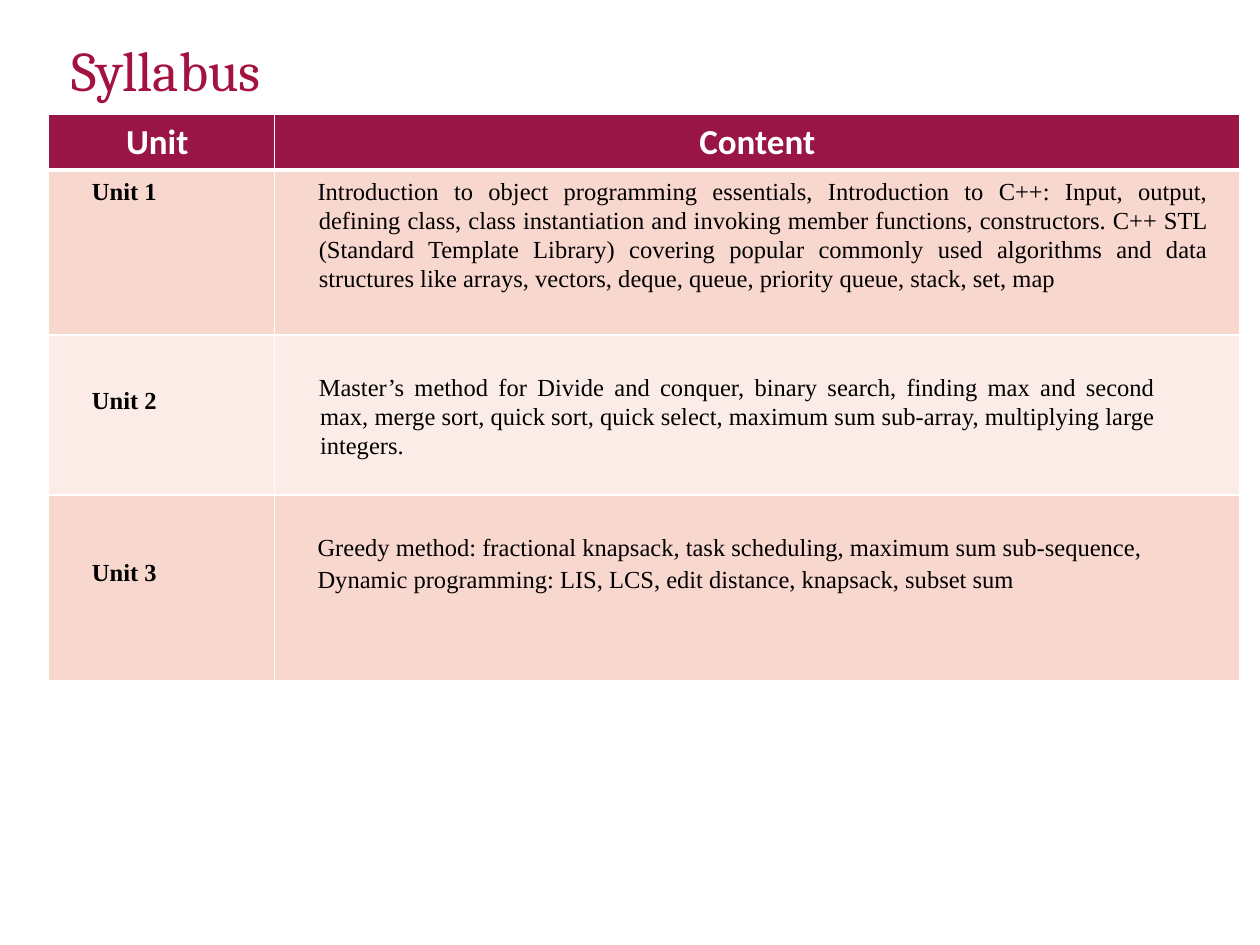
"""Build the course syllabus page with a table of units and their content."""
from lxml import etree
from pptx import Presentation
from pptx import util as u
from pptx.dml import color
from pptx.enum import text
from pptx.oxml import ns

COLORS = {"title": "A4123F", "header": "991546", "dark_band": "F8D7CE",
          "light_band": "FCECE8", "white": "FFFFFF", "black": "000000"}
TITLE_FONT = {"name": "Cambria", "size": u.Pt(32), "bold": False}
HEADER_FONT = {"name": "Calibri", "size": u.Pt(20), "bold": True}
UNIT_FONT = {"name": "Times New Roman", "size": u.Pt(14), "bold": True}
CONTENT_FONT = {**UNIT_FONT, "bold": False}
COLUMN_WIDTHS = [1.8, 7.66]
ROW_HEIGHTS = [0.43, 1.31, 1.27, 1.47]
MIDDLE = {"vertical_anchor": text.MSO_ANCHOR.MIDDLE, "margin_bottom": u.Inches(0.29)}
HEADERS = ["Unit ", "Content"]
UNITS = [
    {"name": "Unit 1", "band": "dark_band", "indent": 0.25, "after": 13.7,
     "name_cell": {}, "content_cell": {"margin_right": u.Inches(0.25)},
     "content": [
         "Introduction to object programming essentials, Introduction to C++: Input, "
         "output, defining class, class instantiation and invoking member functions, "
         "constructors. C++ STL (Standard Template Library) covering popular commonly "
         "used algorithms and data structures like arrays, vectors, deque, queue, "
         "priority queue, stack, set, map"]},
    {"name": "Unit 2", "band": "light_band", "indent": 0.26, "after": 1.3,
     "name_cell": MIDDLE,
     "content_cell": {"margin_top": u.Inches(0.3), "margin_right": u.Inches(0.67)},
     "content": [
         "Master’s method for Divide and conquer, binary search, finding max and "
         "second max, merge sort, quick sort, quick select, maximum sum sub-array, "
         "multiplying large integers."]},
    {"name": "Unit 3", "band": "dark_band", "indent": 0.25, "after": 1.5,
     "name_cell": MIDDLE, "content_cell": {"margin_top": u.Inches(0.3)},
     "content": [
         "Greedy method: fractional knapsack, task scheduling, maximum sum sub-sequence,",
         "Dynamic programming: LIS, LCS, edit distance, knapsack, subset sum"]},
]


def apply(target, values):
    """Set each named attribute of the target."""
    for name, value in values.items():
        setattr(target, name, value)


def rgb(name):
    """Return the named palette colour."""
    return color.RGBColor.from_string(COLORS[name])


def write(frame, lines, font, font_color, layout, indent=0):
    """Write one formatted paragraph for each line."""
    for number, line in enumerate(lines):
        para = frame.add_paragraph() if number else frame.paragraphs[0]
        apply(para, layout)
        if indent:
            properties = para._p.get_or_add_pPr()
            properties.set("marL", str(u.Inches(indent)))
            properties.set("indent", str(u.Inches(-0.01)))
        span = para.add_run()
        span.text = line
        apply(span.font, font)
        span.font.color.rgb = rgb(font_color)


def style_cell(cell, fill, thick_side, values):
    """Give a cell white borders, a fill and its own format values."""
    properties = cell._tc.get_or_add_tcPr()
    for side in "LRTB":
        width = u.Pt(3 if side == thick_side else 1)
        line = etree.SubElement(properties, ns.qn(f"a:ln{side}"), w=str(width))
        solid = etree.SubElement(line, ns.qn("a:solidFill"))
        etree.SubElement(solid, ns.qn("a:srgbClr"), val=COLORS["white"])
    cell.fill.solid()
    cell.fill.fore_color.rgb = rgb(fill)
    apply(cell, values)


def add_title(page, title):
    """Place the page title in the title placeholder."""
    box = page.shapes.title
    apply(box, {"left": u.Inches(0.47), "top": u.Inches(0.25),
                "width": u.Inches(9.19), "height": u.Inches(0.66)})
    apply(box.text_frame, {"vertical_anchor": text.MSO_ANCHOR.MIDDLE,
                           "auto_size": text.MSO_AUTO_SIZE.NONE})
    write(box.text_frame, [title], TITLE_FONT, "title",
          {"alignment": text.PP_ALIGN.LEFT, "line_spacing": 0.9})


def add_syllabus(page):
    """Add the table with a header row and one row for each unit."""
    table = page.shapes.add_table(
        len(ROW_HEIGHTS), len(COLUMN_WIDTHS), u.Inches(0.38), u.Inches(0.91),
        u.Inches(sum(COLUMN_WIDTHS)), u.Inches(sum(ROW_HEIGHTS))).table
    for column, width in zip(table.columns, COLUMN_WIDTHS):
        column.width = u.Inches(width)
    for row, height in zip(table.rows, ROW_HEIGHTS):
        row.height = u.Inches(height)
    for cell, header in zip(table.rows[0].cells, HEADERS):
        style_cell(cell, "header", "B", {})
        write(cell.text_frame, [header], HEADER_FONT, "white",
              {"alignment": text.PP_ALIGN.CENTER})
    for number, unit in enumerate(UNITS, start=1):
        name_cell, content_cell = table.rows[number].cells
        thick_side = "T" if number == 1 else None
        style_cell(name_cell, unit["band"], thick_side, unit["name_cell"])
        write(name_cell.text_frame, [unit["name"]], UNIT_FONT, "black",
              {"line_spacing": 1.07, "space_after": u.Pt(1.5)}, 0.26)
        style_cell(content_cell, unit["band"], thick_side, unit["content_cell"])
        write(content_cell.text_frame, unit["content"], CONTENT_FONT, "black",
              {"alignment": text.PP_ALIGN.JUSTIFY, "line_spacing": 1.07,
               "space_after": u.Pt(unit["after"])}, unit["indent"])


def main():
    """Build and save the deck."""
    deck = Presentation()
    apply(deck, {"slide_width": u.Inches(10), "slide_height": u.Inches(7.5)})
    page = deck.slides.add_slide(deck.slide_layouts[5])
    add_title(page, "Syllabus")
    add_syllabus(page)
    deck.save("out.pptx")


if __name__ == "__main__":
    main()
